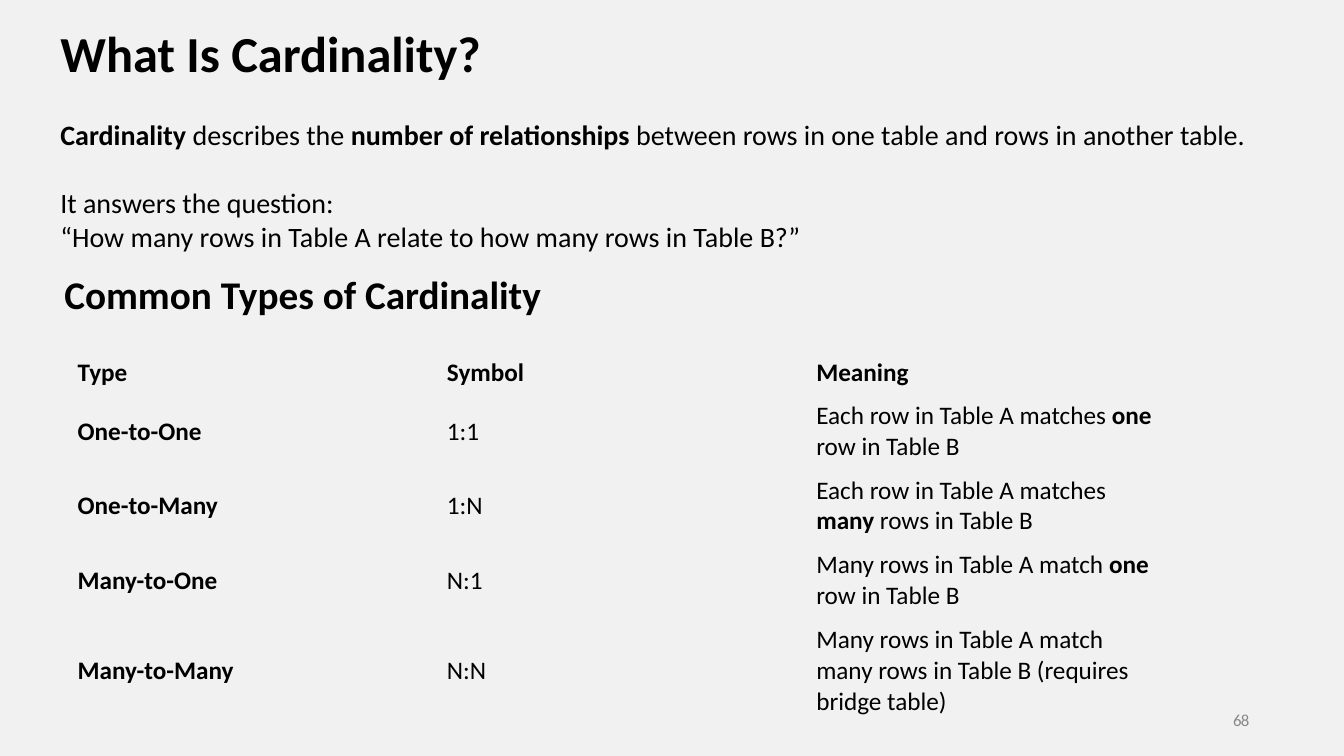
from pptx import Presentation
from pptx.dml.color import RGBColor
from pptx.enum.text import MSO_ANCHOR, PP_ALIGN
from pptx.util import Inches, Pt

COLORS = {"background": "F1F1F1", "text": "000000", "page": "888888"}
NO_GRID_STYLE = "{2D5ABB26-0587-4C30-8999-92F81FD0307C}"

INTRODUCTION = [
    ("**Cardinality** describes the **number of relationships** between rows "
     "in one table and rows in another table.", 0),
    ("It answers the question:", 24.4),
    ("“How many rows in Table A relate to how many rows in Table B?”", 0),
]
CARDINALITIES = [
    ("**Type**", "**Symbol**", "**Meaning**"),
    ("**One-to-One**", "1:1", "Each row in Table A matches **one** row in Table B"),
    ("**One-to-Many**", "1:N", "Each row in Table A matches **many** rows in Table B"),
    ("**Many-to-One**", "N:1", "Many rows in Table A match **one** row in Table B"),
    ("**Many-to-Many**", "N:N",
     "Many rows in Table A match many rows in Table B (requires bridge table)"),
]
ROW_HEIGHTS = [0.42, 0.74, 0.74, 0.74, 1.05]


class SlideBuilder:
    font_name = "Calibri"

    def __init__(self, presentation):
        self.slide = presentation.slides.add_slide(presentation.slide_layouts[5])
        fill = self.slide.background.fill
        fill.solid()
        fill.fore_color.rgb = RGBColor.from_string(COLORS["background"])

    def fill_paragraph(self, paragraph, content, size, color="text"):
        pieces = [(piece, index % 2 == 1)
                  for index, piece in enumerate(content.split("**")) if piece]
        paragraph.alignment = PP_ALIGN.LEFT
        paragraph.font.name = self.font_name
        paragraph.font.size = Pt(size)
        paragraph.font.color.rgb = RGBColor.from_string(COLORS[color])
        paragraph.font.bold = len(pieces) == 1 and pieces[0][1]
        for piece, bold in pieces:
            run = paragraph.add_run()
            run.text = piece
            if len(pieces) > 1:
                run.font.bold = bold

    def title(self, content, left, top, width, height, size):
        heading = self.slide.shapes.title
        heading.left, heading.top = Inches(left), Inches(top)
        heading.width, heading.height = Inches(width), Inches(height)
        heading.text_frame.word_wrap = True
        heading.text_frame.vertical_anchor = MSO_ANCHOR.TOP
        self.fill_paragraph(heading.text_frame.paragraphs[0], content, size)

    def text_frame(self, left, top, width, height):
        box = self.slide.shapes.add_textbox(
            Inches(left), Inches(top), Inches(width), Inches(height))
        box.text_frame.word_wrap = True
        return box.text_frame

    def text(self, lines, left, top, width, height, size):
        frame = self.text_frame(left, top, width, height)
        for index, (content, gap) in enumerate(lines):
            paragraph = frame.add_paragraph() if index else frame.paragraphs[0]
            paragraph.space_before = Pt(gap)
            self.fill_paragraph(paragraph, content, size)

    def page_number(self, number, left, top, width, height):
        frame = self.text_frame(left, top, width, height)
        frame.margin_left = Inches(0.21)
        frame.margin_top = frame.margin_right = frame.margin_bottom = 0
        paragraph = frame.paragraphs[0]
        paragraph.line_spacing = Pt(12.4)
        self.fill_paragraph(paragraph, number, 12, "page")
        paragraph.runs[0].font._element.set("spc", "-50")

    def table(self, rows, heights, left, top, width, size):
        table = self.slide.shapes.add_table(
            len(rows), len(rows[0]), Inches(left), Inches(top),
            Inches(width), Inches(sum(heights))).table
        table.horz_banding = False
        table._tbl.tblPr.find("{*}tableStyleId").text = NO_GRID_STYLE
        for row, height, contents in zip(table.rows, heights, rows):
            row.height = Inches(height)
            for cell, content in zip(row.cells, contents):
                cell.fill.background()
                cell.vertical_anchor = MSO_ANCHOR.MIDDLE
                self.fill_paragraph(cell.text_frame.paragraphs[0], content, size)


def main():
    presentation = Presentation()
    presentation.slide_width = Inches(13.33)
    presentation.slide_height = Inches(7.5)
    builder = SlideBuilder(presentation)
    builder.title("**What Is Cardinality?**", 0.5, 0.17, 12.29, 0.71, 36)
    builder.page_number("68", 12.02, 7.07, 0.48, 0.21)
    builder.text(INTRODUCTION, 0.5, 1.12, 12.29, 1.74, 20)
    builder.text([("**Common Types of Cardinality**", 0)], 0.54, 2.63, 6.67, 0.57, 28)
    builder.table(CARDINALITIES, ROW_HEIGHTS, 0.67, 3.49, 10.99, 18)
    presentation.save("out.pptx")


if __name__ == "__main__":
    main()
